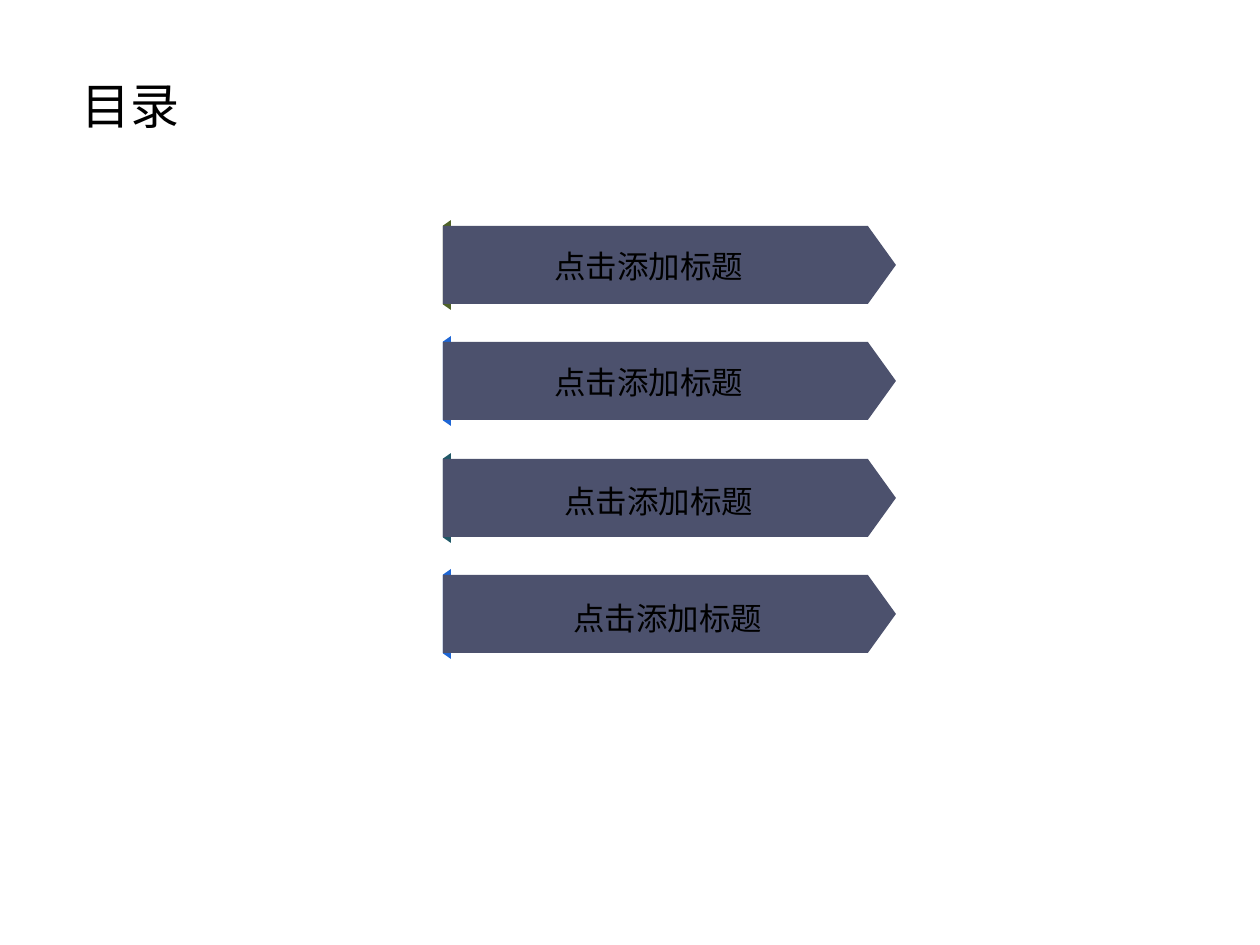
from dataclasses import dataclass

from lxml.etree import SubElement
from pptx import Presentation
from pptx.dml.color import RGBColor
from pptx.enum.shapes import MSO_SHAPE
from pptx.enum.text import MSO_AUTO_SIZE
from pptx.oxml.ns import qn
from pptx.util import Emu, Pt

EMU_PER_PX = 914400 // 126


@dataclass(frozen=True)
class Theme:
    font: str = "Noto Sans CJK SC"
    text: str = "000000"
    banner: str = "4C516D"
    title_size: int = 28
    label_size: int = 18


THEME = Theme()

# fold colour, label left, label offset below the banner top
ITEMS = [
    ("4F6228", 542, 15),
    ("1E66D5", 542, 15),
    ("215968", 552, 17),
    ("1E66D5", 561, 18),
]
BANNER_LEFT, BANNER_TOP = 443, 226
BANNER_WIDTH, BANNER_HEIGHT = 453, 78
BANNER_PITCH = 116.4
FOLD_LENGTH, FOLD_DEPTH = 90, 8


def px(n):
    return Emu(n * EMU_PER_PX)


def banner_top(row):
    return round(BANNER_TOP + row * BANNER_PITCH)


def add_filled(slide, kind, left, top, width, height, adjust, color):
    sp = slide.shapes.add_shape(kind, px(left), px(top), px(width), px(height))
    sp.adjustments[0] = adjust
    sp.shadow.inherit = False
    sp.fill.solid()
    sp.fill.fore_color.rgb = RGBColor.from_string(color)
    sp.line.fill.background()
    return sp


def add_fold(slide, row, color):
    """Trapezoid turned on its side, peeking out behind the banner's left edge."""
    left = BANNER_LEFT + (FOLD_DEPTH - FOLD_LENGTH) // 2
    top = banner_top(row) + (BANNER_HEIGHT - FOLD_DEPTH) // 2
    sp = add_filled(slide, MSO_SHAPE.TRAPEZOID, left, top,
                    FOLD_LENGTH, FOLD_DEPTH, 0.7, color)
    sp.rotation = 270


def add_banner(slide, row):
    add_filled(slide, MSO_SHAPE.PENTAGON, BANNER_LEFT, banner_top(row),
               BANNER_WIDTH, BANNER_HEIGHT, 0.36, THEME.banner)


def add_text(slide, text, left, top, width, height, size, wrap):
    box = slide.shapes.add_textbox(px(left), px(top), px(width), px(height))
    tf = box.text_frame
    tf.word_wrap = wrap
    tf.auto_size = MSO_AUTO_SIZE.SHAPE_TO_FIT_TEXT
    r = tf.paragraphs[0].add_run()
    r.text = text
    r.font.size = Pt(size)
    r.font.color.rgb = RGBColor.from_string(THEME.text)
    r.font.name = THEME.font
    # East Asian glyphs take their typeface from a:ea
    SubElement(r.font._element, qn("a:ea"), typeface=THEME.font)


def main():
    prs = Presentation()
    prs.slide_width, prs.slide_height = px(1260), px(945)
    slide = prs.slides.add_slide(prs.slide_layouts[6])

    add_text(slide, "目录", 69, 69, 137, 72, THEME.title_size, True)
    for row, (color, _, _) in enumerate(ITEMS):
        add_fold(slide, row, color)
    for row in range(len(ITEMS)):
        add_banner(slide, row)
    for row, (_, left, offset) in enumerate(ITEMS):
        add_text(slide, "点击添加标题", left, banner_top(row) + offset,
                 217, 50, THEME.label_size, False)

    prs.save("out.pptx")


if __name__ == "__main__":
    main()
